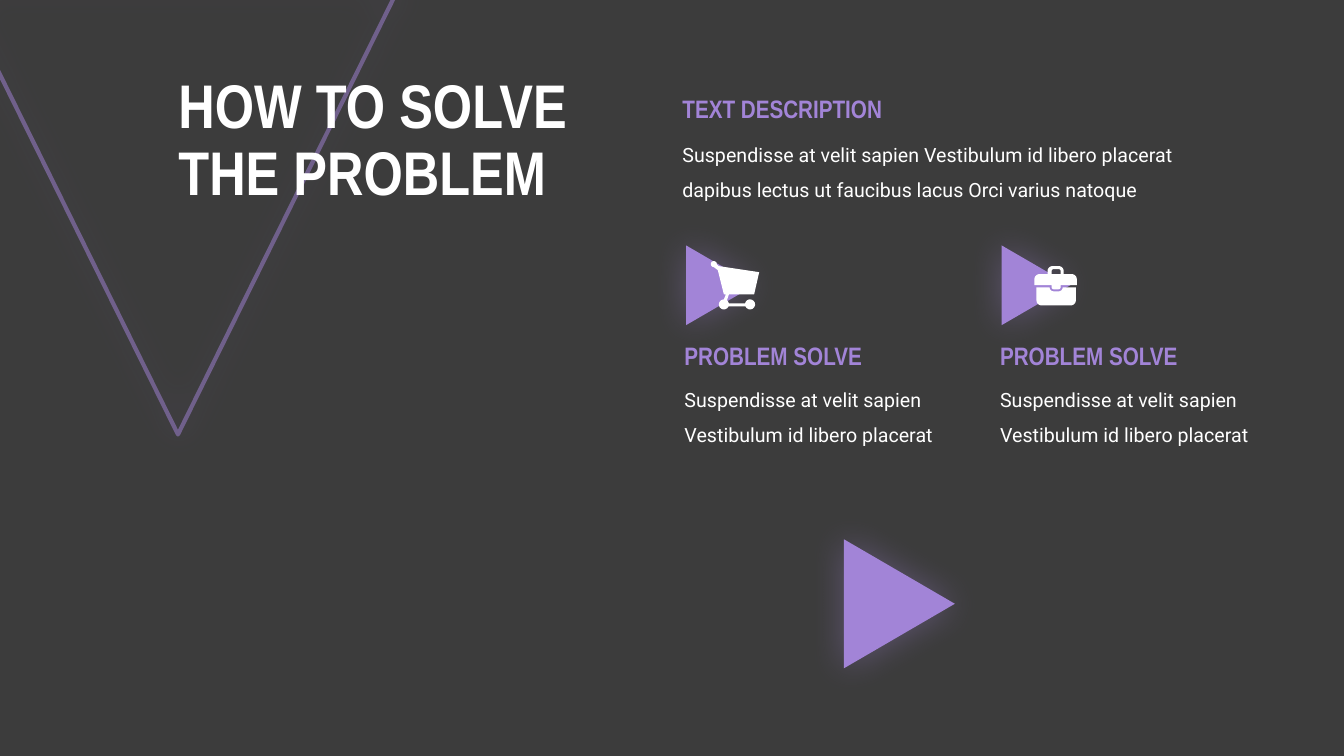
from dataclasses import dataclass
from math import cos, radians, sin

from lxml import etree
from pptx import Presentation
from pptx.dml.color import RGBColor
from pptx.enum.shapes import MSO_SHAPE
from pptx.enum.text import MSO_ANCHOR, MSO_AUTO_SIZE, PP_ALIGN
from pptx.oxml.ns import qn
from pptx.util import Inches, Pt

TRIANGLE = MSO_SHAPE.ISOSCELES_TRIANGLE
LEFT = PP_ALIGN.LEFT
MIDDLE = MSO_ANCHOR.MIDDLE
TOP = MSO_ANCHOR.TOP
NO_FIT = MSO_AUTO_SIZE.NONE
GROW = MSO_AUTO_SIZE.SHAPE_TO_FIT_TEXT


@dataclass(frozen=True)
class Theme:
    back: str = "3C3C3C"
    accent: str = "A284D7"
    white: str = "FFFFFF"
    head: str = "Arial Narrow"
    body: str = "Roboto"
    title_size: int = 44
    head_size: int = 18
    body_size: int = 14


THEME = Theme()

TITLE = ["HOW TO SOLVE", "THE PROBLEM"]
INTRO = (
    "TEXT DESCRIPTION",
    "Suspendisse at velit sapien Vestibulum id libero placerat "
    "dapibus lectus ut faucibus lacus Orci varius natoque",
)
CARDS = [
    ("PROBLEM SOLVE", "Suspendisse at velit sapien Vestibulum id libero placerat"),
    ("PROBLEM SOLVE", "Suspendisse at velit sapien Vestibulum id libero placerat"),
]
CARD_LEFT = 6.69
CARD_STEP = 3.13


def arc(x, y, radius, start, end, steps=10):
    angles = [radians(start + (end - start) * i / steps) for i in range(steps + 1)]
    return [(x + radius * cos(a), y + radius * sin(a)) for a in angles]


CART = [[
    *arc(7.44, 3.02, 0.05, -90, -168),
    *arc(7.18, 3.02, 0.05, -12, -53),
    (7.23, 2.92), (7.48, 2.92), (7.53, 2.7), (7.13, 2.64),
    *arc(7.08, 2.62, 0.03, 0, -270),
    (7.12, 2.68), (7.18, 2.92), (7.2, 2.92),
    *arc(7.18, 3.02, 0.05, -90, -336),
    *arc(7.44, 3.02, 0.05, 156, -90),
]]
CASE = [[
    (10.28, 2.85), (10.41, 2.85),
    *arc(10.45, 2.85, 0.04, 180, 90),
    *arc(10.5, 2.85, 0.04, 90, 0),
    (10.67, 2.85),
    *arc(10.62, 2.98, 0.05, 0, 90),
    *arc(10.33, 2.98, 0.05, 90, 180),
]]
LID = [[
    (10.26, 2.83), (10.43, 2.83),
    *arc(10.45, 2.85, 0.02, 180, 90),
    *arc(10.5, 2.85, 0.02, 90, 0),
    (10.52, 2.83), (10.68, 2.83),
    *arc(10.63, 2.77, 0.05, 0, -90),
    (10.55, 2.72),
    *arc(10.5, 2.69, 0.05, 0, -90),
    *arc(10.44, 2.69, 0.05, -90, -180),
    (10.39, 2.72),
    *arc(10.31, 2.77, 0.05, -90, -180),
], [
    (10.43, 2.72),
    *arc(10.45, 2.69, 0.02, 180, 270),
    *arc(10.5, 2.69, 0.02, 270, 360),
    (10.52, 2.72),
]]


def color(code):
    return RGBColor.from_string(code)


def add_run(para, text, size, face, code, bold=False):
    run = para.add_run()
    run.text = text
    font = run.font
    font.size, font.name, font.bold = Pt(size), face, bold
    font.color.rgb = color(code)


def add_text(slide, box, text, style, spacing=1.0):
    frame = slide.shapes.add_textbox(*map(Inches, box)).text_frame
    frame.word_wrap = True
    frame.auto_size = GROW
    frame.vertical_anchor = TOP
    para = frame.paragraphs[0]
    para.line_spacing = spacing
    add_run(para, text, *style)


def add_pair(slide, pair, head_box, body_box):
    head, body = pair
    add_text(slide, body_box, body, (THEME.body_size, THEME.body, THEME.white), 1.5)
    add_text(slide, head_box, head, (THEME.head_size, THEME.head, THEME.accent, True))


def add_alpha(node, percent):
    etree.SubElement(node, qn("a:alpha"), val=str(percent * 1000))


def add_triangle(slide, box, turn, filled=True):
    shape = slide.shapes.add_shape(TRIANGLE, *map(Inches, box))
    shape.rotation = turn
    if filled:
        shape.fill.solid()
        shape.fill.fore_color.rgb = color(THEME.accent)
        shape.line.fill.background()
    else:
        shape.fill.background()
        shape.line.color.rgb = color(THEME.accent)
        shape.line.width = Pt(3)
        add_alpha(next(shape._element.spPr.iter(qn("a:srgbClr"))), 50)
    shape.shadow.inherit = False
    effects = shape._element.spPr.find(qn("a:effectLst"))
    glow = etree.SubElement(effects, qn("a:outerShdw"), blurRad=str(Pt(25)),
                            dist="0", dir="0", algn="ctr", rotWithShape="0")
    add_alpha(etree.SubElement(glow, qn("a:srgbClr"), val=THEME.accent), 35)


def add_icon(shapes, outlines):
    paths = [[(Inches(x), Inches(y)) for x, y in line] for line in outlines]
    pen = shapes.build_freeform(*paths[0][0])
    pen.add_line_segments(paths[0][1:])
    for path in paths[1:]:
        pen.move_to(*path[0])
        pen.add_line_segments(path[1:])
    icon = pen.convert_to_shape()
    icon.fill.solid()
    icon.fill.fore_color.rgb = color(THEME.white)
    icon.line.fill.background()
    icon.shadow.inherit = False


def add_title(slide):
    title = slide.shapes.title
    title.left, title.top, title.width, title.height = map(
        Inches, (1.67, 0.62, 5.62, 1.58))
    frame = title.text_frame
    frame.word_wrap = True
    frame.auto_size = NO_FIT
    frame.vertical_anchor = MIDDLE
    para = frame.paragraphs[0]
    para.alignment = LEFT
    para.line_spacing = 0.9
    for i, line in enumerate(TITLE):
        if i:
            para.add_line_break()
        add_run(para, line, THEME.title_size, THEME.head, THEME.white, True)


def main():
    deck = Presentation()
    deck.slide_width, deck.slide_height = Inches(13.33), Inches(7.5)
    slide = deck.slides.add_slide(deck.slide_layouts[5])
    slide.background.fill.solid()
    slide.background.fill.fore_color.rgb = color(THEME.back)

    add_triangle(slide, (-0.43, -0.13, 4.39, 4.44), 180, filled=False)
    tree = slide.shapes._spTree
    tree.append(slide.shapes.title._element)
    add_title(slide)
    add_pair(slide, INTRO, (6.67, 0.88, 2.45, 0.4), (6.67, 1.25, 5.13, 0.77))
    for i, card in enumerate(CARDS):
        left = CARD_LEFT + i * CARD_STEP
        add_triangle(slide, (left + 0.06, 2.49, 0.79, 0.68), 90)
        add_pair(slide, card, (left, 3.33, 2.21, 0.4), (left, 3.68, 2.69, 0.77))
    group = slide.shapes.add_group_shape()
    for part in (CASE, LID):
        add_icon(group.shapes, part)
    add_icon(slide.shapes, CART)
    add_triangle(slide, (8.28, 5.44, 1.28, 1.1), 90)
    deck.save("out.pptx")


if __name__ == "__main__":
    main()
